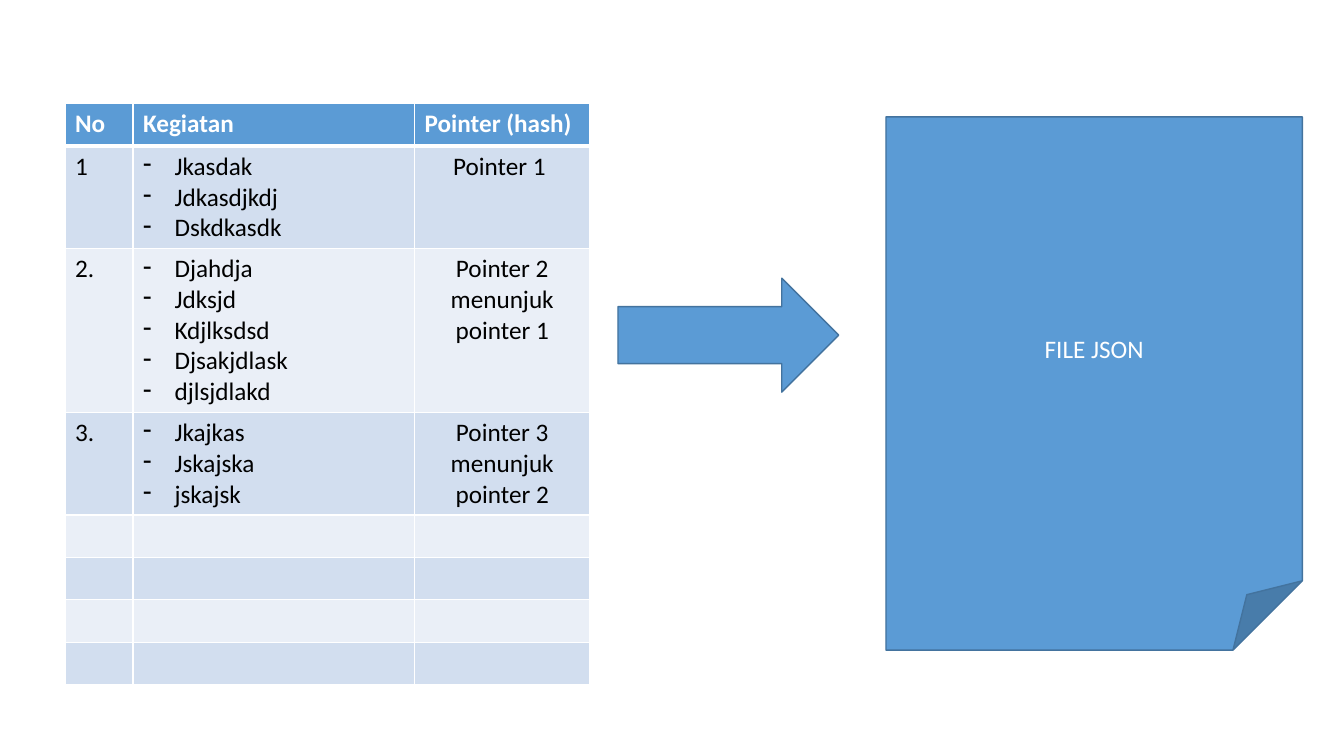
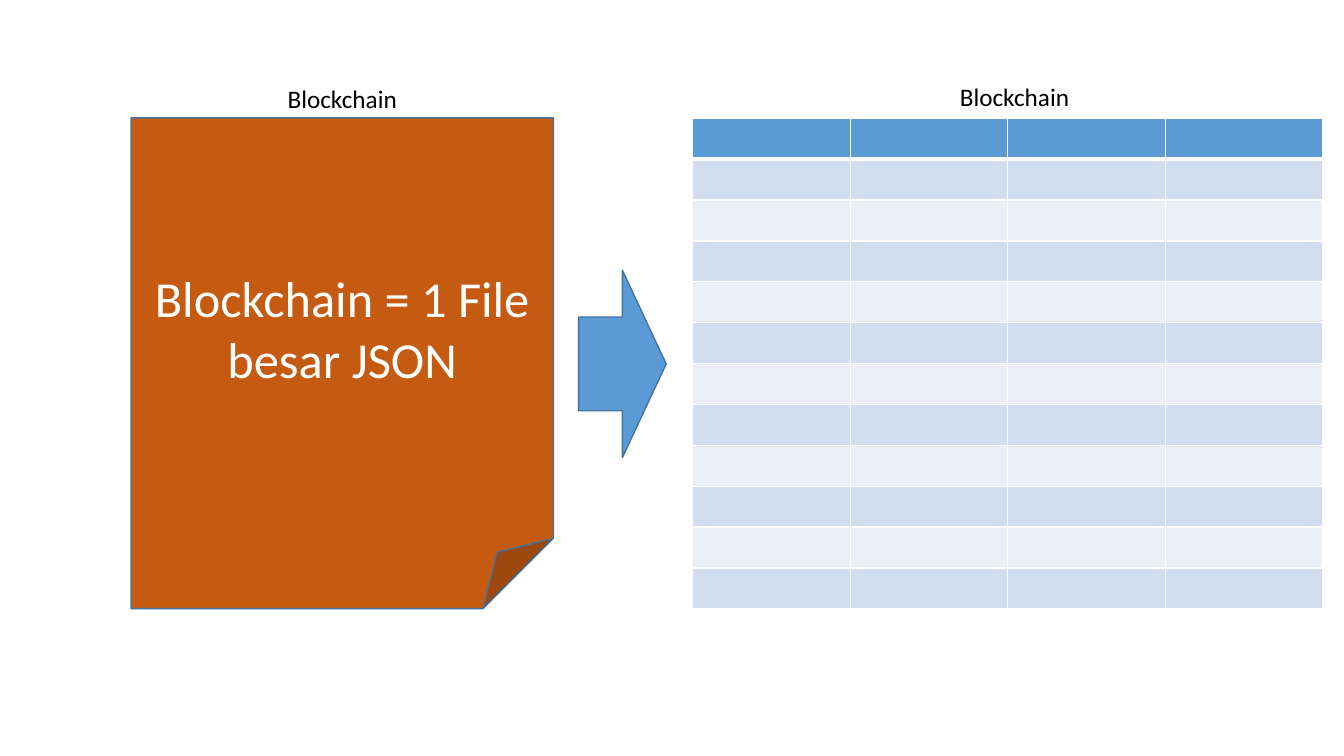
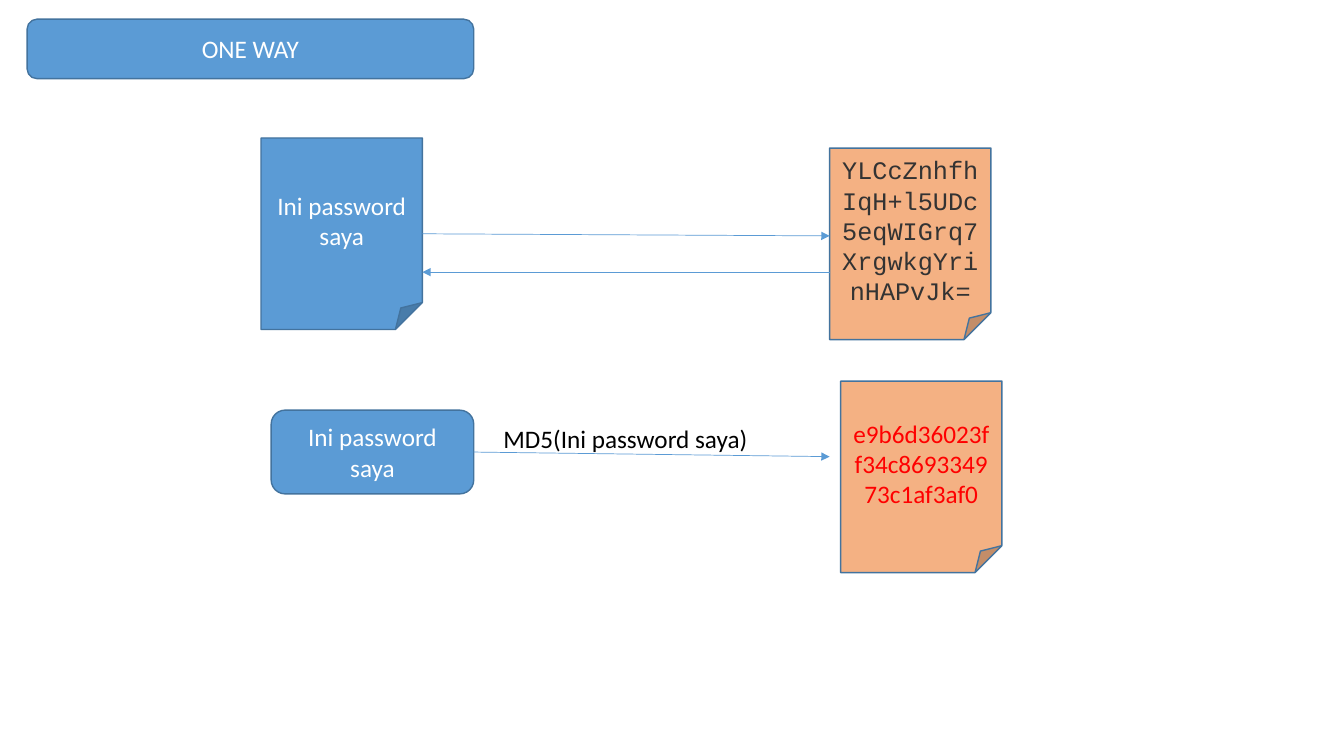
from pptx import Presentation
from pptx.dml.color import RGBColor
from pptx.enum.shapes import MSO_CONNECTOR, MSO_SHAPE
from pptx.enum.text import MSO_ANCHOR, MSO_AUTO_SIZE, PP_ALIGN
from pptx.oxml.ns import qn
from pptx.util import Pt
from lxml import etree

NOTE, ARROW = MSO_SHAPE.FOLDED_CORNER, MSO_SHAPE.RIGHT_ARROW
ROUNDED = MSO_SHAPE.ROUNDED_RECTANGLE
STRAIGHT = MSO_CONNECTOR.STRAIGHT
LEFT, CENTER = PP_ALIGN.LEFT, PP_ALIGN.CENTER
MIDDLE, GROW = MSO_ANCHOR.MIDDLE, MSO_AUTO_SIZE.SHAPE_TO_FIT_TEXT
RIGHT_SIDE = 3

# Shared look
BLUE, EDGE, WHITE, BLACK = "5B9BD5", "43739E", "FFFFFF", "000000"
RUST, PEACH, GREY, RED = "C55A11", "F4B183", "333333", "FF0000"
BANDS = ("EAEFF7", "D2DEEF")
BODY = {"name": "Calibri", "size": Pt(18), "bold": False}
BULLET_INDENT = 22.5

# Slide 1: activities and the file that stores them
ACTIVITIES = [
    ("No", "Kegiatan", "Pointer (hash)"),
    ("1", ["Jkasdak", "Jdkasdjkdj", "Dskdkasdk"], "Pointer 1 "),
    ("2.", ["Djahdja", "Jdksjd", "Kdjlksdsd", "Djsakjdlask", "djlsjdlakd"],
     "Pointer 2 menunjuk pointer 1"),
    ("3.", ["Jkajkas", "Jskajska", "jskajsk"], "Pointer 3 menunjuk pointer 2"),
] + [("", "", "")] * 4
ACTIVITY_COLUMNS = (48.6, 201.2, 125.2)
ACTIVITY_ROWS = (30.3, 73.1, 117.1, 73.1) + (30.3,) * 4
STORE_SHAPES = [
    (NOTE, (632.9, 83.5, 297.4, 380.9), "FILE JSON", {}),
    (ARROW, (441.4, 198.7, 157.7, 81.4), "", {}),
]

# Slide 2: one big file seen as a table
CHAIN_SHAPES = [
    (NOTE, (93.6, 84.2, 301.7, 350.6), "Blockchain = 1 File besar JSON",
     {"fill": RUST, "size": Pt(36)}),
    (ARROW, (413.3, 193, 62.6, 133.9), "", {}),
]
CHAIN_COLUMNS, CHAIN_ROWS = (112.5,) * 4, (29.2,) * 12
CHAIN_LABELS = [("Blockchain", (638.6, 54.7, 172.1, 28.8)),
                ("Blockchain", (158.4, 56.2, 172.1, 28.8))]

# Slide 3: one-way hashing
NOTE_SIZE = (115.2, 136.8)
HASH_SHAPES = {
    "title": (ROUNDED, (19.4, 13.7, 319, 42.5), "ONE WAY", {}),
    "password note": (NOTE, (186.5, 98.6, *NOTE_SIZE), "Ini password saya", {}),
    "encrypted": (NOTE, (592.6, 105.8, *NOTE_SIZE),
                  "YLCcZnhfhIqH+l5UDc5eqWIGrq7XrgwkgYrinHAPvJk=",
                  {"fill": PEACH, "color": GREY, "name": "Courier New"}),
    "password box": (ROUNDED, (193.7, 293, 144.7, 59.8), "Ini password saya", {}),
    "digest": (NOTE, (600.5, 272.2, *NOTE_SIZE),
               "e9b6d36023ff34c869334973c1af3af0",
               {"fill": PEACH, "color": RED}),
}
HASH_LABEL = ("MD5(Ini password saya)", (330.5, 298.8, 232.6, 28.8))
HASH_ARROWS = [  # start, end, shape joined at the start
    ((301.7, 167), (592.6, 168.5), "password note"),
    ((592.6, 194.4), (301.7, 194.4), None),
    ((338.4, 322.9), (592.6, 326.2), "password box"),
]


def rgb(code):
    return RGBColor.from_string(code)


def points(values):
    return [Pt(value) for value in values]


def paint(part, code):
    part.fill.solid()
    part.fill.fore_color.rgb = rgb(code)


def write(frame, lines, color, align=CENTER, bullet=False, **changes):
    for index, line in enumerate(lines):
        para = frame.paragraphs[0] if index == 0 else frame.add_paragraph()
        para.alignment = align
        if bullet:
            props = para._p.get_or_add_pPr()
            props.set("marL", str(Pt(BULLET_INDENT)))
            props.set("indent", str(-Pt(BULLET_INDENT)))
            etree.SubElement(props, qn("a:buChar")).set("char", "-")
        span = para.add_run()
        span.text = line
        for key, value in {**BODY, **changes}.items():
            setattr(span.font, key, value)
        span.font.color.rgb = rgb(color)


def add_box(page, kind, place, text, look):
    look = {"fill": BLUE, "color": WHITE, **look}
    box = page.shapes.add_shape(kind, *points(place))
    box.shadow.inherit = False
    paint(box, look.pop("fill"))
    box.line.color.rgb = rgb(EDGE)
    box.line.width = Pt(1)
    if text:
        box.text_frame.word_wrap = True
        box.text_frame.vertical_anchor = MIDDLE
        write(box.text_frame, [text], **look)
    return box


def add_label(page, text, place):
    frame = page.shapes.add_textbox(*points(place)).text_frame
    frame.word_wrap = True
    frame.auto_size = GROW
    write(frame, [text], BLACK)


def add_arrow(page, start, end, source):
    arrow = page.shapes.add_connector(STRAIGHT, *points(start + end))
    if source is not None:
        arrow.begin_connect(source, RIGHT_SIDE)
    arrow.line.color.rgb = rgb(BLUE)
    arrow.line.width = Pt(0.5)
    props = arrow._element.spPr
    etree.SubElement(props.find(qn("a:ln")), qn("a:tailEnd")).set("type", "triangle")
    etree.SubElement(props, qn("a:effectLst"))


def add_border(cell, side, width):
    line = etree.SubElement(cell._tc.get_or_add_tcPr(), qn("a:ln" + side))
    line.set("w", str(Pt(width)))
    fill = etree.SubElement(line, qn("a:solidFill"))
    etree.SubElement(fill, qn("a:srgbClr")).set("val", WHITE)


def add_grid(page, corner, columns, rows, content=None):
    size = (sum(columns), sum(rows))
    table = page.shapes.add_table(len(rows), len(columns),
                                  *points(corner + size)).table
    for column, width in zip(table.columns, columns):
        column.width = Pt(width)
    for r, height in enumerate(rows):
        table.rows[r].height = Pt(height)
        for c in range(len(columns)):
            cell = table.cell(r, c)
            # The rule under the header is thicker
            for side, thick_row in (("L", None), ("R", None), ("T", 1), ("B", 0)):
                add_border(cell, side, 3 if r == thick_row else 1)
            paint(cell, BANDS[r % 2] if r else BLUE)
            text = content[r][c] if content else ""
            if text:
                bullet = isinstance(text, list)
                write(cell.text_frame, text if bullet else [text],
                      BLACK if r else WHITE, CENTER if r and c == 2 else LEFT,
                      bullet, bold=r == 0)


def main():
    deck = Presentation()
    deck.slide_width, deck.slide_height = Pt(960), Pt(540)
    blank = deck.slide_layouts[6]
    store, chain, hashing = [deck.slides.add_slide(blank) for _ in range(3)]

    add_grid(store, (46.4, 74.2), ACTIVITY_COLUMNS, ACTIVITY_ROWS, ACTIVITIES)
    for shape in STORE_SHAPES:
        add_box(store, *shape)

    for shape in CHAIN_SHAPES:
        add_box(chain, *shape)
    add_grid(chain, (494.8, 84.5), CHAIN_COLUMNS, CHAIN_ROWS)
    for label in CHAIN_LABELS:
        add_label(chain, *label)

    boxes = {name: add_box(hashing, *shape) for name, shape in HASH_SHAPES.items()}
    add_label(hashing, *HASH_LABEL)
    for start, end, source in HASH_ARROWS:
        add_arrow(hashing, start, end, boxes.get(source))

    deck.save("out.pptx")


if __name__ == "__main__":
    main()
